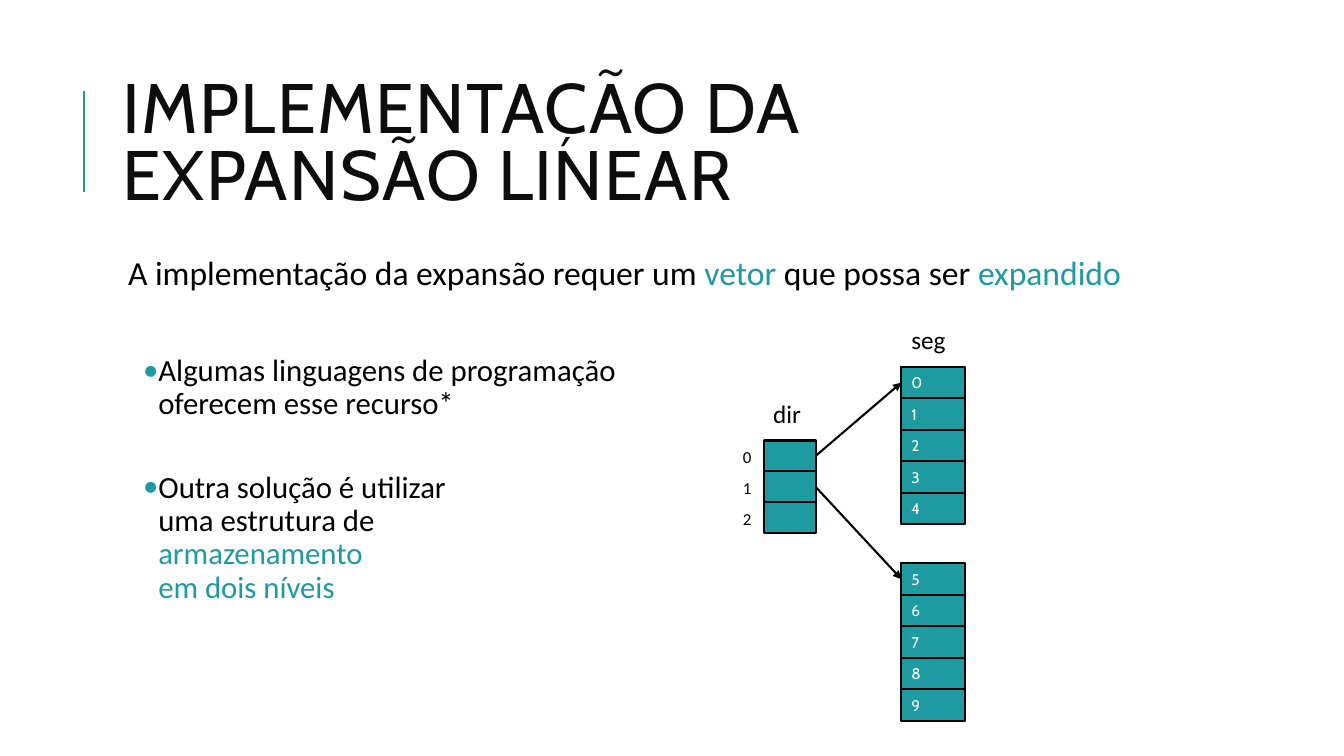
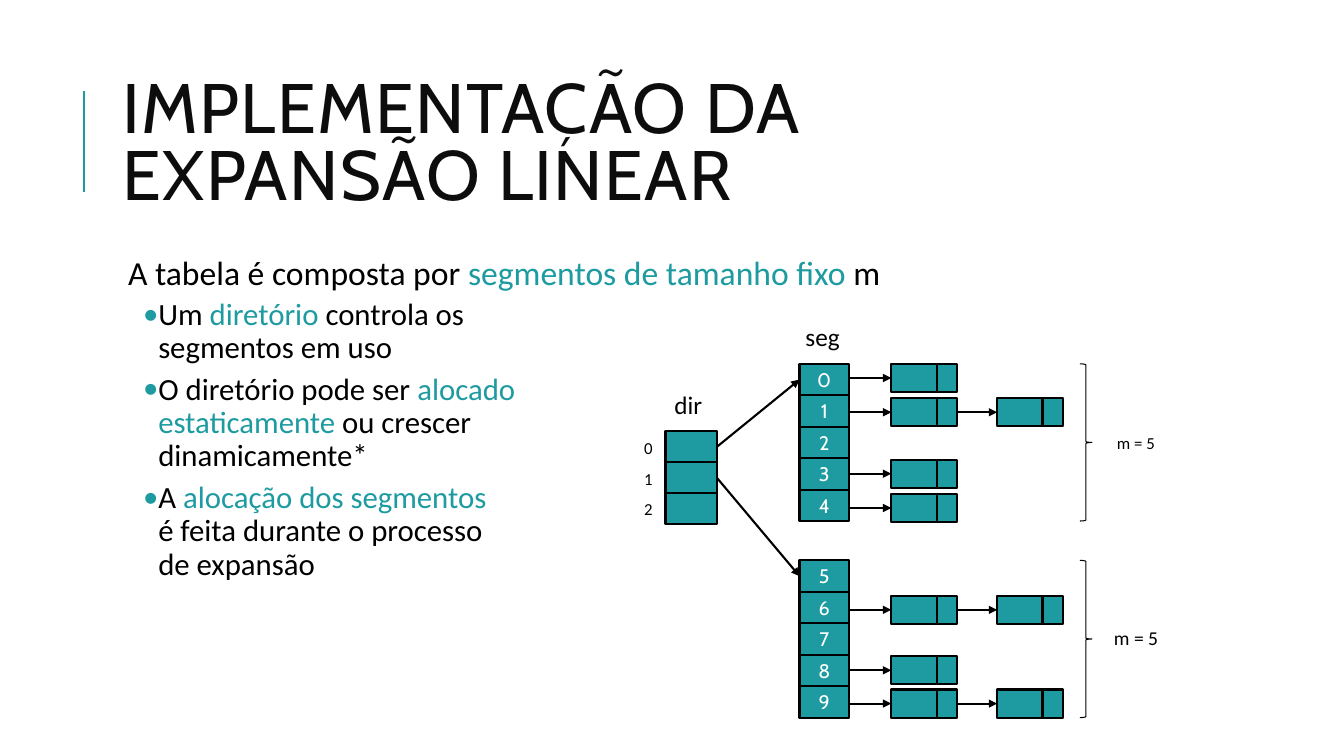
import pptx
import pptx.util
import pptx.dml.color
import pptx.enum.shapes
import pptx.enum.text
import pptx.oxml.ns
from dataclasses import dataclass
from lxml import etree

Inches = pptx.util.Inches
Pt = pptx.util.Pt
Shape = pptx.enum.shapes.MSO_SHAPE
Align = pptx.enum.text.PP_ALIGN
Anchor = pptx.enum.text.MSO_ANCHOR
Fit = pptx.enum.text.MSO_AUTO_SIZE


@dataclass(frozen=True)
class Theme:
    teal: str = "1D9BA1"
    black: str = "000000"
    dark: str = "0D0D0D"
    white: str = "FFFFFF"
    head: str = "Cabin"
    body: str = "Calibri"
    title: int = 50
    lead: int = 24
    point: int = 22
    name: int = 18
    mark: int = 14
    index: int = 12
    small: int = 11
    thick: float = 1.5
    thin: float = 0.75


def paint(color, value):
    color.rgb = pptx.dml.color.RGBColor.from_string(value)


def node(parent, tag, **attrs):
    return etree.SubElement(parent, pptx.oxml.ns.qn(tag), attrs)


class Deck:
    def __init__(self, theme):
        self.theme = theme
        self.file = pptx.Presentation()
        self.file.slide_width = Inches(13.33)
        self.file.slide_height = Inches(7.5)
        self.slide = None

    def start(self, title):
        t = self.theme
        self.slide = self.file.slides.add_slide(self.file.slide_layouts[6])
        self.line(0.83, 1.9, 0.83, 0.9, t.teal)
        frame = self.text(1.12, 0.64, 10.63, 1.64, title, t.title, t.dark, t.head)
        frame.vertical_anchor = Anchor.MIDDLE
        para = frame.paragraphs[0]
        para.line_spacing = 0.8
        para.font._rPr.set("spc", "100")

    def style(self, para, size, color, face):
        para.font.size = Pt(size)
        para.font.name = face
        paint(para.font.color, color)

    def box(self, left, top, width, height):
        area = map(Inches, (left, top, width, height))
        frame = self.slide.shapes.add_textbox(*area).text_frame
        frame.word_wrap = True
        return frame

    def text(self, left, top, width, height, words, size, color=None, face=None):
        frame = self.box(left, top, width, height)
        para = frame.paragraphs[0]
        para.text = words
        self.style(para, size, color or self.theme.black, face or self.theme.body)
        return frame

    def label(self, left, top, width, height, words, size, wrap=False):
        frame = self.text(left, top, width, height, words, size)
        frame.word_wrap = wrap
        frame.auto_size = Fit.SHAPE_TO_FIT_TEXT

    def body(self, lead, points):
        t = self.theme
        frame = self.box(1.12, 2.5, 10.63, 4.4)
        frame.margin_left = frame.margin_right = Inches(0.05)
        frame.margin_top = frame.margin_bottom = Inches(0.05)
        self.para(frame.paragraphs[0], lead, t.lead, 12, 2, 0.1)
        for before, parts in points:
            para = frame.add_paragraph()
            para.level = 1
            self.para(para, parts, t.point, before, 4, 0.4, 0.15)

    def para(self, para, parts, size, before, after, left, hang=0):
        t = self.theme
        para.line_spacing = 0.9
        para.space_before = Pt(before)
        para.space_after = Pt(after)
        props = para._p.get_or_add_pPr()
        props.set("marL", str(Inches(left)))
        props.set("indent", str(-Inches(hang)))
        if hang:
            node(node(props, "a:buClr"), "a:srgbClr", val=t.teal)
            node(props, "a:buFont", typeface=t.body)
            node(props, "a:buChar", char="•")
        self.style(para, size, t.black, t.body)
        for part, words in enumerate(parts):
            for row, piece in enumerate(words.split("\n")):
                if row:
                    para.add_line_break()
                if piece:
                    run = para.add_run()
                    run.text = piece
                    if part % 2:
                        paint(run.font.color, t.teal)

    def line(self, x1, y1, x2, y2, color):
        ends = map(Inches, (x1, y1, x2, y2))
        return self.link(ends, color)

    def link(self, ends, color):
        kind = pptx.enum.shapes.MSO_CONNECTOR.STRAIGHT
        line = self.slide.shapes.add_connector(kind, *ends)
        line.line.width = Pt(self.theme.thick)
        paint(line.line.color, color)
        node(line._element.spPr, "a:effectLst")
        return line

    def arrow(self, first, last, level=False):
        right = first.left + first.width
        end = last.top + last.height // 2
        begin = end if level else first.top + first.height // 2
        line = self.link((right, begin, last.left, end), self.theme.black)
        if not level:
            line.begin_connect(first, 3)
        line.end_connect(last, 1)
        node(line.line._get_or_add_ln(), "a:tailEnd", type="triangle")

    def cell(self, left, top, width, height, words="", size=None, align=Align.LEFT):
        t = self.theme
        area = map(Inches, (left, top, width, height))
        cell = self.slide.shapes.add_shape(Shape.RECTANGLE, *area)
        cell.shadow.inherit = False
        cell.fill.solid()
        paint(cell.fill.fore_color, t.teal)
        cell.line.width = Pt(t.thick)
        paint(cell.line.color, t.black)
        if words:
            cell.text_frame.text = words
            cell.text_frame.vertical_anchor = Anchor.MIDDLE
            para = cell.text_frame.paragraphs[0]
            para.alignment = align
            self.style(para, size, t.white, t.head)
        return cell

    def stack(self, left, top, width, tall, words, size=None, align=Align.LEFT):
        step = tall / len(words)
        return [self.cell(left, top + row * step, width, step, word, size, align)
                for row, word in enumerate(words)]

    def table(self, left, top, seg, seg_top, width, size, align, shift):
        t = self.theme
        cells = self.stack(left, top, 0.51, 0.92, [""] * 3)
        for row in range(3):
            self.label(left - 0.31, top + 0.01 + row * 0.92 / 3, 0.29, 0.3, str(row), t.index)
        self.label(left - 0.01, top - 0.47, 0.48, 0.4, "dir", t.name)
        self.label(seg - shift, seg_top - 0.47, 0.56, 0.4, "seg", t.name)
        slots = []
        for part in range(2):
            words = [str(part * 5 + row) for row in range(5)]
            block = self.stack(seg, seg_top + part * 1.95, width, 1.56, words, size, align)
            self.arrow(cells[part], block[0])
            slots += block
        return slots

    def chain(self, slot, top, count):
        last, level = slot, True
        for item in range(count):
            left = 8.84 + item * 1.05
            data = self.cell(left, top, 0.45, 0.28)
            self.arrow(last, data, level)
            last, level = self.cell(left + 0.45, top, 0.2, 0.28), False

    def brace(self, left, top, width, height):
        area = map(Inches, (left, top, width, height))
        brace = self.slide.shapes.add_shape(Shape.RIGHT_BRACE, *area)
        brace.shadow.inherit = False
        brace.fill.background()
        brace.line.width = Pt(self.theme.thin)
        paint(brace.line.color, self.theme.black)


def main():
    theme = Theme()
    deck = Deck(theme)
    title = "IMPLEMENTAÇÃO DA EXPANSÃO LINEAR"

    deck.start(title)
    deck.body(
        ("A implementação da expansão requer um ", "vetor", " que possa ser ", "expandido"),
        [(42, ("Algumas linguagens de programação\noferecem esse recurso*",)),
         (32, ("Outra solução é utilizar\numa estrutura de\n", "armazenamento\nem dois níveis"))])
    deck.table(7.58, 4.37, 8.94, 3.64, 0.63, theme.small, Align.LEFT, 0)

    deck.start(title)
    deck.body(
        ("A tabela é composta por ", "segmentos de tamanho fixo", " m"),
        [(2, ("Um ", "diretório ", "controla os\nsegmentos em uso")),
         (2, ("O diretório pode ser ", "alocado\nestaticamente", " ou crescer\ndinamicamente*")),
         (2, ("A ", "alocação dos segmentos\n", "é feita durante o processo\nde expansão"))])
    slots = deck.table(6.6, 4.28, 7.93, 3.61, 0.49, theme.mark, Align.CENTER, 0.04)
    chains = [(0, 3.61, 1), (1, 3.95, 2), (3, 4.56, 1), (4, 4.9, 1),
              (6, 5.91, 2), (8, 6.51, 1), (9, 6.84, 2)]
    for slot, top, count in chains:
        deck.chain(slots[slot], top, count)
    for top in (3.61, 5.56):
        deck.brace(10.71, top, 0.12, 1.56)
    deck.label(10.98, 4.24, 0.59, 0.3, "m = 5", theme.index, True)
    deck.label(10.95, 6.16, 0.94, 0.34, "m = 5", theme.mark, True)

    deck.file.save("out.pptx")


if __name__ == "__main__":
    main()
